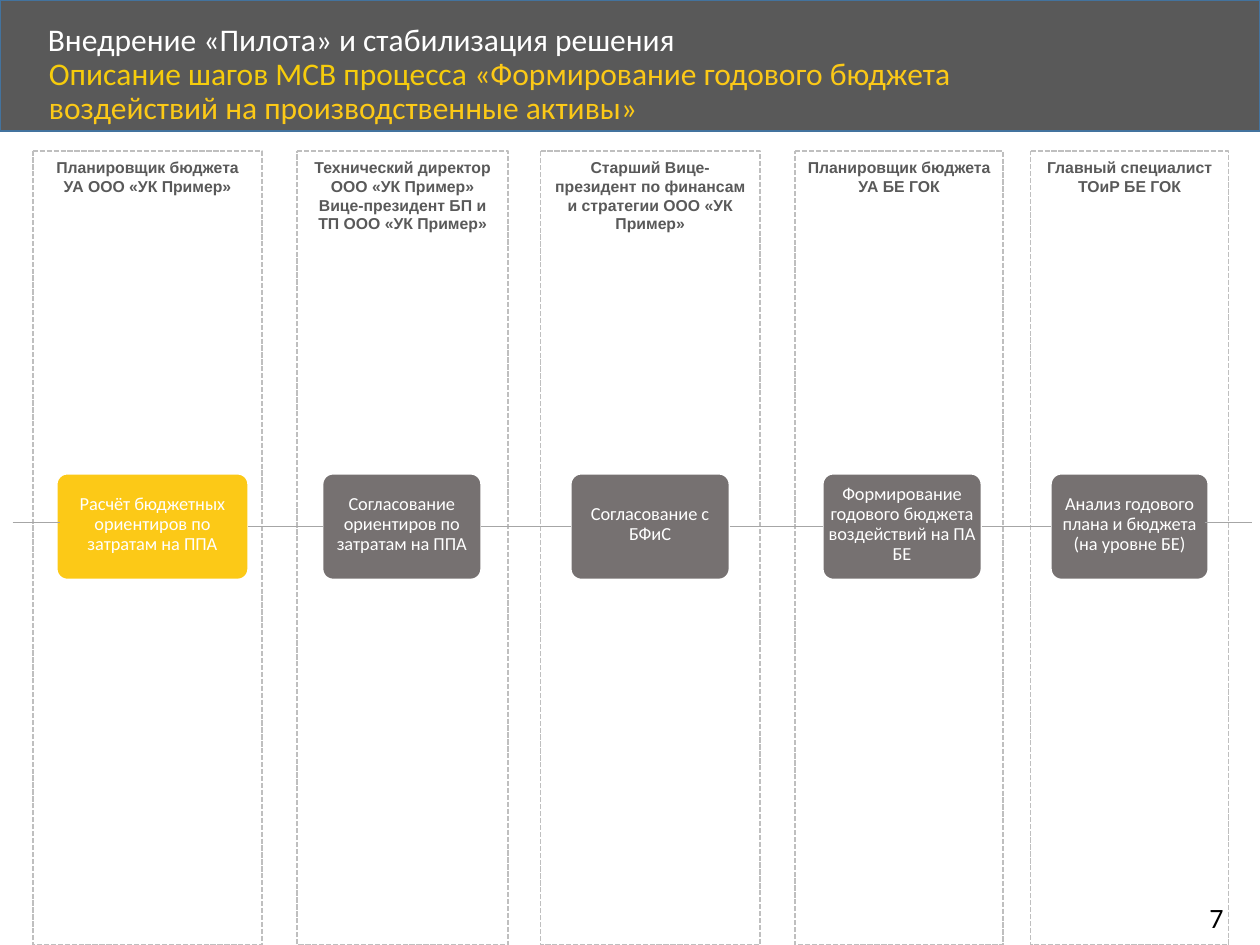
from pptx import Presentation
from pptx.dml.color import RGBColor
from pptx.enum.dml import MSO_LINE
from pptx.enum.shapes import MSO_CONNECTOR, MSO_SHAPE
from pptx.enum.text import MSO_ANCHOR, MSO_AUTO_SIZE, PP_ALIGN
from pptx.oxml.ns import qn
from pptx.util import Inches, Pt
from lxml.etree import SubElement

WHITE = RGBColor(0xFF, 0xFF, 0xFF)
BLACK = RGBColor(0, 0, 0)
DARK = RGBColor(0x59, 0x59, 0x59)
BAR_EDGE = RGBColor(0x43, 0x73, 0x9E)
LANE_EDGE = RGBColor(0xBF, 0xBF, 0xBF)
FLOW = RGBColor(0xA6, 0xA6, 0xA6)
STEP = RGBColor(0x76, 0x71, 0x71)
GOLD = RGBColor(0xFC, 0xC9, 0x17)
YELLOW = RGBColor(0xF6, 0xCC, 0x0C)

WIDTH, HEIGHT = 10, 7.5
LANE_TOP, LANE_HEIGHT = 1.2, 6.3
STEP_TOP, STEP_HEIGHT = 3.76, 0.84
EDGE_Y = 4.15

# Lane left, lane width, roles, step left, step width, step text, step fill
LANES = [
    (0.26, 1.82, ["Планировщик бюджета УА ООО «УК Пример»"],
     0.45, 1.52, "Расчёт бюджетных ориентиров по затратам на ППА", GOLD),
    (2.36, 1.67, ["Технический директор ООО «УК Пример»",
                  "Вице-президент БП и ТП ООО «УК Пример»"],
     2.56, 1.26, "Согласование ориентиров по затратам на ППА", STEP),
    (4.29, 1.74, ["Старший Вице-президент по финансам и стратегии ООО «УК Пример»"],
     4.53, 1.26, "Согласование с БФиС", STEP),
    (6.31, 1.65, ["Планировщик бюджета УА БЕ ГОК"],
     6.53, 1.26, "Формирование годового бюджета воздействий на ПА БЕ", STEP),
    (8.18, 1.57, ["Главный специалист ТОиР БЕ ГОК"],
     8.34, 1.25, "Анализ годового плана и бюджета (на уровне БЕ)", STEP),
]


def style(p, size, color, font="Calibri", bold=False, align=None, spacing=None):
    p.font.size, p.font.name, p.font.bold = Pt(size), font, bold
    p.font.color.rgb = color
    p.alignment = align
    p.line_spacing = spacing


def add_box(s, kind, box, fill, edge, radius=None):
    sp = s.shapes.add_shape(kind, *map(Inches, box))
    sp.shadow.inherit = False
    if fill is None:
        sp.fill.background()
    else:
        sp.fill.solid()
        sp.fill.fore_color.rgb = fill
    sp.line.color.rgb = edge
    sp.line.width = Pt(1)
    if radius is not None:
        sp.adjustments[0] = radius
    return sp


def add_header(s):
    add_box(s, MSO_SHAPE.RECTANGLE, (0, 0, WIDTH, 1.04), DARK, BAR_EDGE)

    # Title goes in front of the bar
    title = s.shapes.title
    s.shapes._spTree.append(title._element)
    title.left, title.top, title.width, title.height = map(
        Inches, (0.28, 0.14, 8.07, 0.38))
    tf = title.text_frame
    tf.text = "Внедрение «Пилота» и стабилизация решения"
    tf.auto_size, tf.vertical_anchor = MSO_AUTO_SIZE.NONE, MSO_ANCHOR.MIDDLE
    style(tf.paragraphs[0], 18, WHITE, align=PP_ALIGN.LEFT, spacing=0.9)

    # Subtitle in two shades
    tf = s.shapes.add_textbox(*map(Inches, (0.29, 0.41, 8.5, 0.45))).text_frame
    tf.word_wrap = True
    p = tf.paragraphs[0]
    style(p, 18, YELLOW, spacing=0.9)
    p.add_run().text = "Описание шагов MCB процесса "
    r = p.add_run()
    r.text = "«Формирование годового бюджета воздействий на производственные активы»"
    r.font.color.rgb = GOLD


def add_lane(s, left, width, roles):
    sp = add_box(s, MSO_SHAPE.ROUNDED_RECTANGLE,
                 (left, LANE_TOP, width, LANE_HEIGHT), None, LANE_EDGE, 0)
    sp.line.dash_style = MSO_LINE.SQUARE_DOT
    tf = sp.text_frame
    tf.vertical_anchor = MSO_ANCHOR.TOP
    tf.text = "\n".join(roles)
    for p in tf.paragraphs:
        style(p, 9, DARK, "Arial", True, PP_ALIGN.CENTER)


def add_step(s, left, width, text, fill):
    sp = add_box(s, MSO_SHAPE.ROUNDED_RECTANGLE,
                 (left, STEP_TOP, width, STEP_HEIGHT), fill, WHITE, 0.1)
    tf = sp.text_frame
    tf.margin_left = tf.margin_right = Inches(0.01)
    tf.margin_top, tf.margin_bottom = Inches(0.01), Inches(0.04)
    tf.vertical_anchor = MSO_ANCHOR.MIDDLE
    tf.text = text
    style(tf.paragraphs[0], 10.5, WHITE, align=PP_ALIGN.CENTER, spacing=0.9)
    return sp


def add_line(s, x1, x2, y):
    line = s.shapes.add_connector(
        MSO_CONNECTOR.STRAIGHT, Inches(x1), Inches(y), Inches(x2), Inches(y))
    line.line.color.rgb = FLOW
    line.line.width = Pt(0.5)
    SubElement(line._element.spPr, qn("a:effectLst"))
    return line


def add_page_number(s, number):
    tf = s.shapes.add_textbox(*map(Inches, (9.5, 7.1, 0.46, 0.37))).text_frame
    tf.word_wrap = False
    tf.text = number
    style(tf.paragraphs[0], 16, BLACK)


def main():
    prs = Presentation()
    prs.slide_width, prs.slide_height = Inches(WIDTH), Inches(HEIGHT)
    s = prs.slides.add_slide(prs.slide_layouts[5])
    add_header(s)

    # Lanes with one step in each
    steps = []
    for left, width, roles, step_left, step_width, text, fill in LANES:
        add_lane(s, left, width, roles)
        steps.append(add_step(s, step_left, step_width, text, fill))

    # Flow between the steps, then in from the left and out to the right
    for a, b in zip(steps, steps[1:]):
        line = add_line(s, 0, 1, EDGE_Y)
        line.begin_connect(a, 3)
        line.end_connect(b, 1)
    add_line(s, 0.1, 0.48, EDGE_Y)
    add_line(s, 9.56, 9.94, EDGE_Y)

    add_page_number(s, "7")
    prs.save("out.pptx")


if __name__ == "__main__":
    main()
